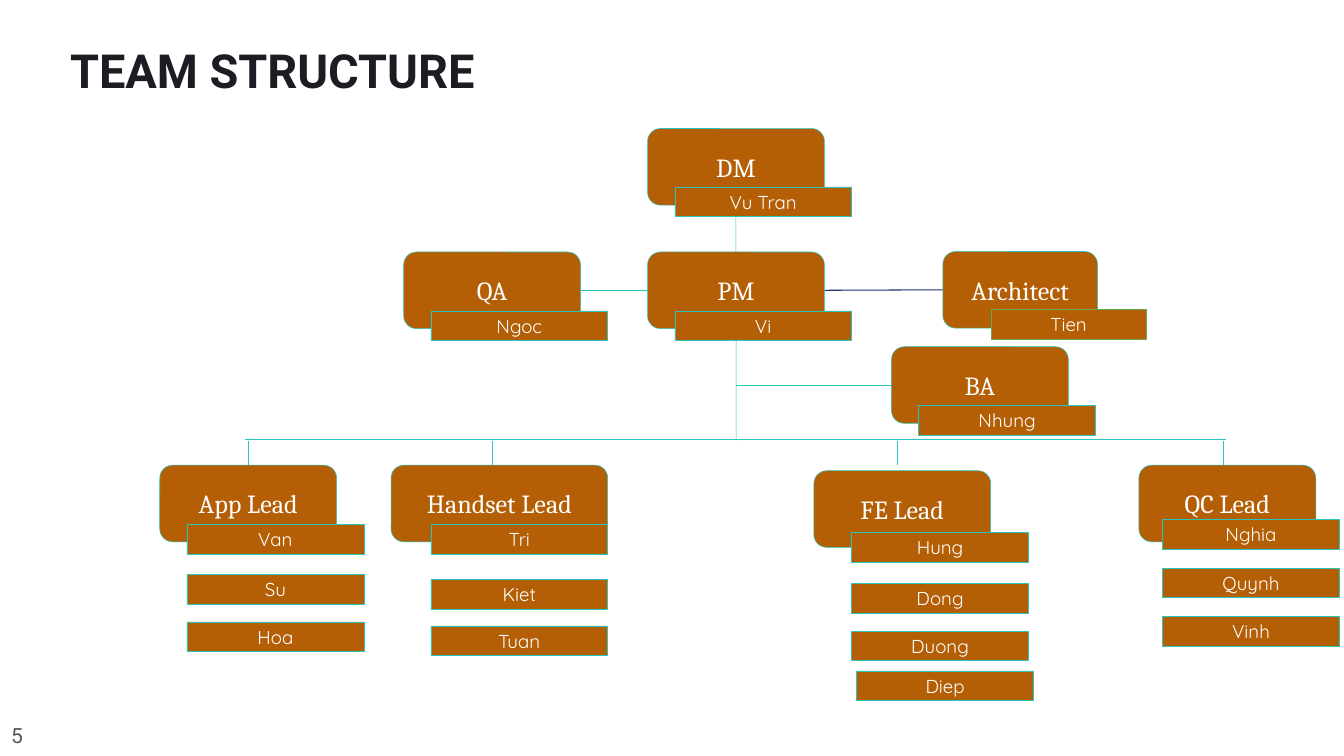
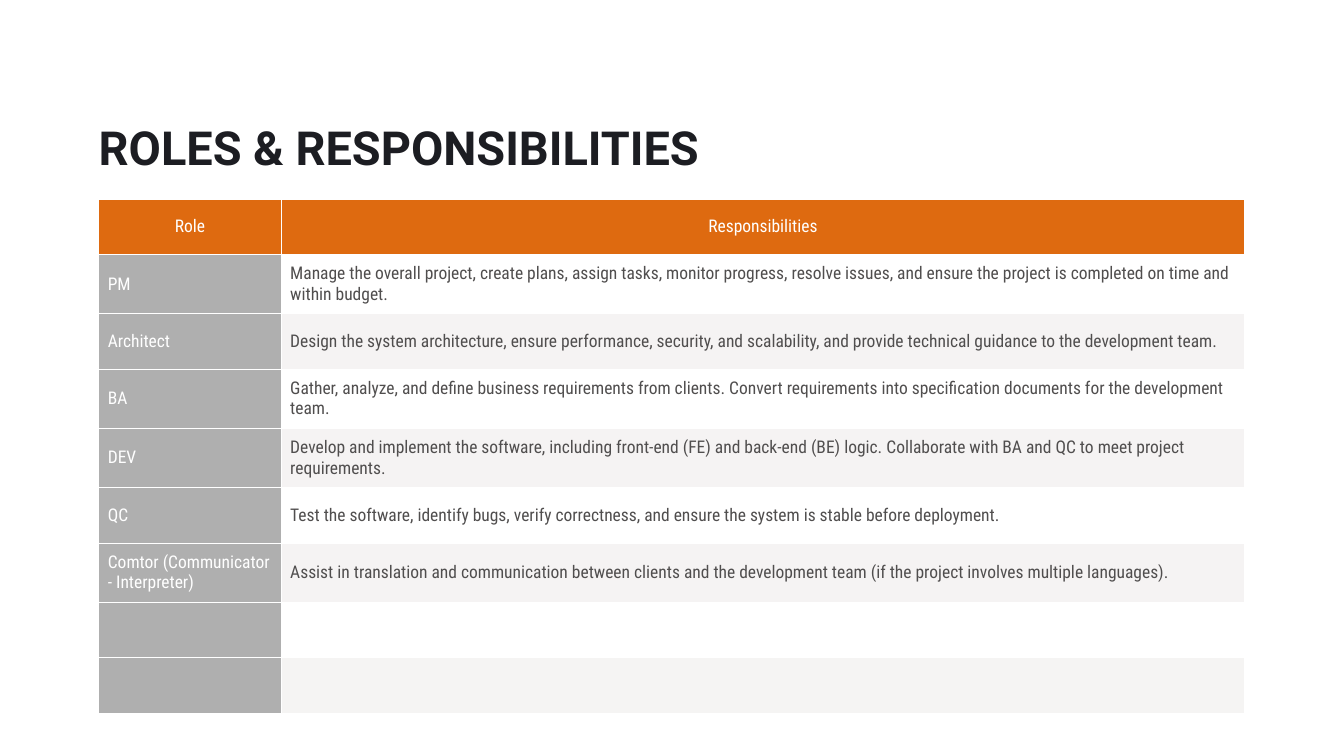
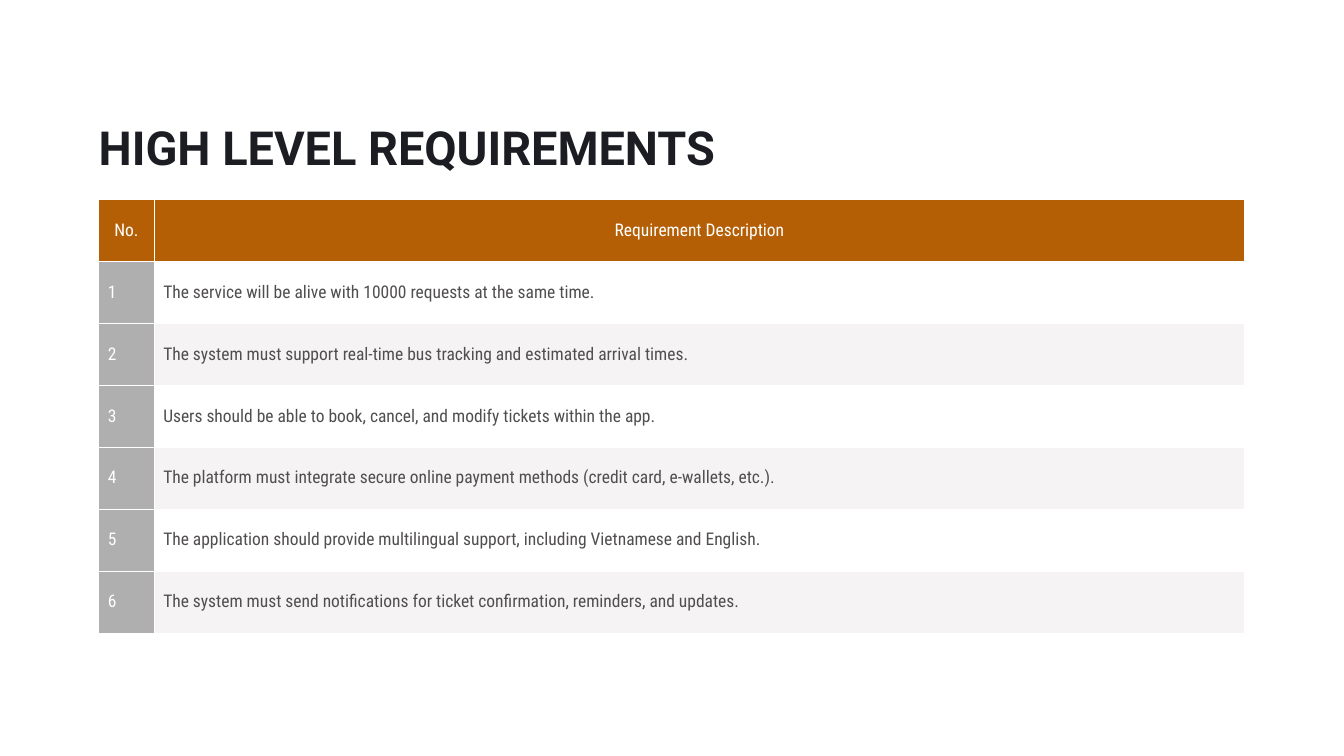
from dataclasses import dataclass, field

from lxml import etree
from pptx import Presentation
from pptx.dml.color import RGBColor
from pptx.enum.shapes import MSO_CONNECTOR, MSO_SHAPE
from pptx.enum.text import MSO_ANCHOR, PP_ALIGN
from pptx.oxml.ns import qn
from pptx.util import Inches, Pt

CENTER, LEFT = PP_ALIGN.CENTER, PP_ALIGN.LEFT
MIDDLE, TOP = MSO_ANCHOR.MIDDLE, MSO_ANCHOR.TOP
RECTANGLE, ROUNDED = MSO_SHAPE.RECTANGLE, MSO_SHAPE.ROUNDED_RECTANGLE
STRAIGHT = MSO_CONNECTOR.STRAIGHT


@dataclass(frozen=True)
class TextStyle:
    font: str
    size: float
    color: str
    bold: bool = False


@dataclass(frozen=True)
class Theme:
    white: str = "FFFFFF"
    brown: str = "B45F06"
    orange: str = "DE6A10"
    teal: str = "27C7BD"
    green: str = "6AA84F"
    navy: str = "212D74"
    gray: str = "AFAFAF"
    band: str = "F5F3F3"
    blank_band: str = "F5F4F3"
    title: TextStyle = TextStyle("Roboto", 67, "1C1D22", True)
    page: TextStyle = TextStyle("Roboto", 30, "53585F")
    role: TextStyle = TextStyle("Cambria", 37.3, "FFFFFF")
    member: TextStyle = TextStyle("Quicksand", 26.7, "FFFFFF")
    label: TextStyle = TextStyle("Roboto Condensed", 25, "FFFFFF")
    body: TextStyle = TextStyle("Roboto Condensed", 25, "504E4E")


THEME = Theme()


@dataclass(frozen=True)
class Team:
    role: str
    left: float
    top: float
    indent: float
    members: dict
    width: float = 3.51
    member_width: float = 3.51
    member_line: str = THEME.teal
    shifted: dict = field(default_factory=dict)


ROLE_HEIGHT, MEMBER_HEIGHT = 1.52, 0.59
LEADS_TOP = 6.68
TEAMS = [
    Team("DM", 9.68, 0, 0.54, {"Vu Tran": 1.16}),
    Team("PM", 9.68, 2.45, 0.54, {"Vi": 1.17}),
    Team("QA", 4.84, 2.45, 0.54, {"Ngoc": 1.17}),
    Team("Architect", 15.54, 2.44, 0.96, {"Tien": 1.15}, 3.07, 3.07, THEME.green),
    Team("BA", 14.52, 4.33, 0.54, {"Nhung": 1.16}),
    Team("App Lead", 0, LEADS_TOP, 0.54, {"Van": 1.17, "Su": 2.16, "Hoa": 3.11}),
    Team("Handset Lead", 4.59, LEADS_TOP, 0.79,
         {"Tri": 1.17, "Kiet": 2.26, "Tuan": 3.19}, 4.3),
    Team("FE Lead", 12.98, 6.79, 0.75,
         {"Hung": 1.22, "Dong": 2.23, "Duong": 3.18, "Diep": 3.97}, shifted={"Diep": 0.1}),
    Team("QC Lead", 19.43, LEADS_TOP, 0.47, {"Nghia": 1.08, "Quynh": 2.04, "Vinh": 3}),
]
LEAD_DROPS = [1.76, 6.59, 14.64, 21.11]
TEAL_LINKS = [
    (21.16, 6.17, 1.7, 6.17),
    (14.54, 5.09, 11.43, 5.09),
    (11.43, 1.56, 11.44, 6.19),
    (9.68, 3.21, 8.35, 3.21),
] + [(x, 6.21, x, LEADS_TOP) for x in LEAD_DROPS]
ARCHITECT_LINK = (15.54, 3.2, 13.19, 3.21)

ROLES = [
    ("Role", "Responsibilities"),
    ("PM", "Manage the overall project, create plans, assign tasks, monitor progress, "
           "resolve issues, and ensure the project is completed on time and within budget."),
    ("Architect", "Design the system architecture, ensure performance, security, and "
                  "scalability, and provide technical guidance to the development team."),
    ("BA", "Gather, analyze, and define business requirements from clients. Convert "
           "requirements into specification documents for the development team."),
    ("DEV", "Develop and implement the software, including front-end (FE) and back-end (BE) "
            "logic. Collaborate with BA and QC to meet project requirements."),
    ("QC", "Test the software, identify bugs, verify correctness, and ensure the system is "
           "stable before deployment."),
    ("Comtor (Communicator - Interpreter)",
     "Assist in translation and communication between clients and the development team "
     "(if the project involves multiple languages)."),
    ("", ""),
    ("", ""),
]
REQUIREMENTS = [
    "The service will be alive with 10000 requests at the same time.",
    "The system must support real-time bus tracking and estimated arrival times.",
    "Users should be able to book, cancel, and modify tickets within the app.",
    "The platform must integrate secure online payment methods (credit card, e-wallets, etc.).",
    "The application should provide multilingual support, including Vietnamese and English.",
    "The system must send notifications for ticket confirmation, reminders, and updates.",
]


def rgb(color):
    return RGBColor.from_string(color)


def write(text_frame, text, style, alignment=LEFT):
    text_frame.text = text
    paragraph = text_frame.paragraphs[0]
    paragraph.alignment = alignment
    for run in paragraph.runs:
        run.font.name = style.font
        run.font.size = Pt(style.size)
        run.font.bold = style.bold
        run.font.color.rgb = rgb(style.color)
    return paragraph


def set_margins(target, margin):
    target.margin_left = target.margin_right = Inches(margin)
    target.margin_top = target.margin_bottom = Inches(margin)


def add_text(slide, box, text, style, margin=0, anchor=TOP):
    text_frame = slide.shapes.add_textbox(*map(Inches, box)).text_frame
    text_frame.word_wrap = True
    text_frame.vertical_anchor = anchor
    set_margins(text_frame, margin)
    return write(text_frame, text, style)


def add_title(slide, box, text):
    add_text(slide, box, text, THEME.title).line_spacing = 0.8


def add_card(slide, kind, box, text, style, line_color):
    shape = slide.shapes.add_shape(kind, *map(Inches, box))
    shape.shadow.inherit = False
    shape.fill.solid()
    shape.fill.fore_color.rgb = rgb(THEME.brown)
    shape.line.color.rgb = rgb(line_color)
    shape.line.width = Pt(0.75)
    text_frame = shape.text_frame
    text_frame.word_wrap = True
    text_frame.vertical_anchor = MIDDLE
    set_margins(text_frame, 0.27)
    write(text_frame, text, style, CENTER)


def add_link(slide, origin, ends, color=THEME.teal, width=0.75):
    left, top = origin
    x1, y1, x2, y2 = ends
    points = (left + x1, top + y1, left + x2, top + y2)
    connector = slide.shapes.add_connector(STRAIGHT, *map(Inches, points))
    connector.line.color.rgb = rgb(color)
    connector.line.width = Pt(width)
    etree.SubElement(connector._element.spPr, qn("a:effectLst"))


def add_team(slide, origin, team):
    left, top = origin[0] + team.left, origin[1] + team.top
    add_card(slide, ROUNDED, (left, top, team.width, ROLE_HEIGHT),
             team.role, THEME.role, THEME.teal)
    for name, offset in team.members.items():
        member_left = left + team.indent + team.shifted.get(name, 0)
        add_card(slide, RECTANGLE, (member_left, top + offset, team.member_width, MEMBER_HEIGHT),
                 name, THEME.member, team.member_line)


def add_organization(slide, origin):
    for ends in TEAL_LINKS:
        add_link(slide, origin, ends)
    add_link(slide, origin, ARCHITECT_LINK, THEME.navy, 1.5)
    for team in TEAMS:
        add_team(slide, origin, team)


def add_borders(cell):
    properties = cell._tc.get_or_add_tcPr()
    for position, side in enumerate(("a:lnL", "a:lnR", "a:lnT", "a:lnB")):
        line = etree.Element(qn(side), w=str(Pt(1)))
        fill = etree.SubElement(line, qn("a:solidFill"))
        etree.SubElement(fill, qn("a:srgbClr"), val=THEME.white)
        properties.insert(position, line)


def cell_look(row, column, text, header_color):
    if row == 0:
        return header_color, THEME.label, CENTER
    if column == 0:
        return THEME.gray, THEME.label, LEFT
    band = THEME.band if text else THEME.blank_band
    return (THEME.white if row % 2 else band), THEME.body, LEFT


def add_grid(slide, box, rows, first_width, header_color):
    left, top, width, height = map(Inches, box)
    table = slide.shapes.add_table(len(rows), 2, left, top, width, height).table
    table.first_row = table.horz_banding = False
    table.columns[0].width = Inches(first_width)
    table.columns[1].width = width - Inches(first_width)
    for row, texts in enumerate(rows):
        for column, text in enumerate(texts):
            cell = table.cell(row, column)
            color, style, alignment = cell_look(row, column, text, header_color)
            cell.fill.solid()
            cell.fill.fore_color.rgb = rgb(color)
            cell.vertical_anchor = MIDDLE
            set_margins(cell, 0.18)
            write(cell.text_frame, text, style, alignment)
            add_borders(cell)


def add_slide(presentation):
    return presentation.slides.add_slide(presentation.slide_layouts[6])


def build_team_slide(presentation):
    slide = add_slide(presentation)
    add_title(slide, (1.39, 1.04, 22.74, 2.78), "TEAM STRUCTURE")
    add_text(slide, (0.16, 14.27, 0.69, 0.62), "5", THEME.page, 0.06, MIDDLE)
    add_organization(slide, (3.17, 2.55))


def build_table_slide(presentation, title, rows, row_height, first_width, header_color):
    slide = add_slide(presentation)
    left, width = 1.96, 22.74
    add_grid(slide, (left, 3.95, width, row_height * len(rows)), rows, first_width, header_color)
    add_title(slide, (left, 2.56, width, 0.95), title)


def main():
    presentation = Presentation()
    presentation.slide_width = Inches(26.67)
    presentation.slide_height = Inches(15)
    build_team_slide(presentation)
    build_table_slide(presentation, "ROLES & RESPONSIBILITIES", ROLES, 1.1, 3.62, THEME.orange)
    numbered = [(str(number), text) for number, text in enumerate(REQUIREMENTS, 1)]
    build_table_slide(presentation, "HIGH LEVEL REQUIREMENTS",
                      [("No.", "Requirement Description")] + numbered, 1.23, 1.1, THEME.brown)
    presentation.save("out.pptx")


if __name__ == "__main__":
    main()
